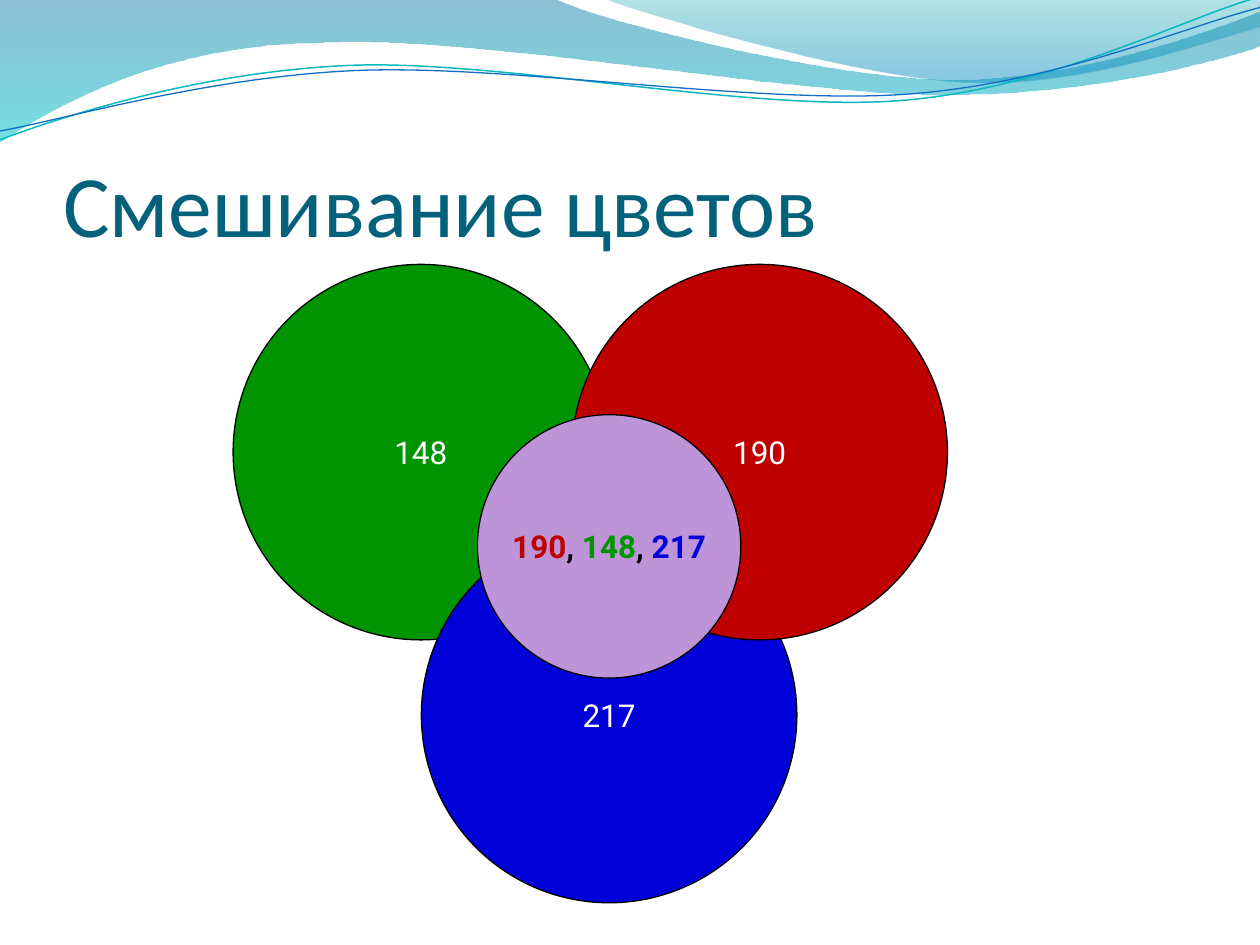
from math import cos, radians, sin

from lxml.etree import SubElement
from pptx import Presentation
from pptx.dml.color import RGBColor
from pptx.enum.shapes import MSO_SHAPE as SHAPE
from pptx.enum.text import MSO_ANCHOR as ANCHOR, PP_ALIGN as ALIGN
from pptx.oxml.ns import qn
from pptx.util import Cm, Pt

GREEN, BLUE, RED, MIX = "009400", "0000D9", "BE0000", "BE94D9"
BLACK, WHITE, TITLE = "000000", "FFFFFF", "04617B"
TILT = 357.3

LEFT_WAVE = [(0, -0.01), (4.4, -0.01),
             (4.76, 0.17), (6.64, 0.63), (7.58, 0.63),
             (8.53, 0.63), (9.58, 0.26), (10, 0.09), (10.01, 0.36),
             (9.83, 0.44), (8.7, 0.76), (7.46, 0.75),
             (6.22, 0.75), (3.82, 0.28), (2.57, 0.34),
             (1.29, 0.35), (0.46, 0.83), (-0.01, 1.13)]
RIGHT_WAVE = [(4.79, -0.01), (5.09, 0.11), (6.82, 0.62), (7.69, 0.65),
              (8.56, 0.69), (9.61, 0.32), (10, 0.21), (10, 0)]
TEAL_LINE = [(0, 1.11), (0.48, 0.93), (1.58, 0.57), (2.77, 0.52),
             (3.95, 0.47), (5.93, 0.89), (7.13, 0.8),
             (8.33, 0.71), (9.38, 0.15), (9.98, -0.02)]
BLUE_LINE = [(0, 1.04), (0.47, 0.96), (1.64, 0.61), (2.83, 0.56),
             (4.03, 0.51), (5.97, 0.83), (7.17, 0.75),
             (8.36, 0.67), (9.41, 0.21), (10, 0.06)]


def rgb(color):
    return RGBColor.from_string(color)


def untilt(points):
    cx, cy = 5, 0.58
    c, n = cos(radians(-TILT)), sin(radians(-TILT))
    return [(cx + (x - cx) * c - (y - cy) * n, cy + (x - cx) * n + (y - cy) * c)
            for x, y in points]


def add_outline(s, box, points, kinds, close):
    left, top, width = box
    unit = width / 10
    scaled = [(Cm(left + x * unit), Cm(top + y * unit)) for x, y in points]
    builder = s.shapes.build_freeform(*scaled[0])
    builder.add_line_segments(scaled[1:], close=close)
    sp = builder.convert_to_shape()
    sp.shadow.inherit = False
    segments = iter(list(sp._element.iter(qn("a:lnTo"))))
    for kind in kinds:
        segment = next(segments)
        if kind == "C":
            segment.tag = qn("a:cubicBezTo")
            for extra in (next(segments), next(segments)):
                segment.append(extra[0])
                extra.getparent().remove(extra)
    return sp


def add_band(s, box, points, kinds, stops):
    sp = add_outline(s, box, points, kinds, True)
    sp.line.fill.background()
    sp.fill.gradient()
    sp.fill.gradient_angle = 270
    for stop, (position, color, _) in zip(sp.fill.gradient_stops, stops):
        stop.position = position
        stop.color.rgb = rgb(color)
    for clr, (_, _, opacity) in zip(sp._element.spPr.iter(qn("a:srgbClr")), stops):
        SubElement(clr, qn("a:alpha")).set("val", str(opacity * 1000))


def add_waves(s, box):
    add_band(s, box, LEFT_WAVE, "LCCLCCC", [(0, "0074A1", 45), (1, "00C6CF", 55)])
    add_band(s, box, RIGHT_WAVE, "CCL", [(0, "00A1A9", 30), (0.8, "008BBF", 45)])
    for points, color, weight in ((TEAL_LINE, "0AB8BF", 0.85), (BLUE_LINE, "0F6FC6", 0.75)):
        sp = add_outline(s, box, untilt(points), "CCC", False)
        sp.rotation = TILT
        sp.fill.background()
        sp.line.color.rgb = rgb(color)
        sp.line.width = Pt(weight)


def add_title(s, box, text):
    sp = s.shapes.title
    sp.left, sp.top, sp.width, sp.height = map(Cm, box)
    s.shapes._spTree.append(sp._element)
    tf = sp.text_frame
    tf.text = text
    tf.vertical_anchor = ANCHOR.BOTTOM
    tf.margin_left = tf.margin_right = tf.margin_bottom = 0
    tf.margin_top = Cm(0.13)
    p = tf.paragraphs[0]
    p.alignment = ALIGN.LEFT
    p.font.name, p.font.size = "Calibri", Pt(50)
    p.font.color.rgb = rgb(TITLE)


def add_circle(s, left, top, size, fill, runs, bold=False):
    sp = s.shapes.add_shape(SHAPE.OVAL, Cm(left), Cm(top), Cm(size), Cm(size))
    sp.shadow.inherit = False
    sp.fill.solid()
    sp.fill.fore_color.rgb = rgb(fill)
    sp.line.color.rgb = rgb(BLACK)
    sp.line.width = Pt(0.75)
    tf = sp.text_frame
    tf.word_wrap = False
    tf.vertical_anchor = ANCHOR.MIDDLE
    p = tf.paragraphs[0]
    p.alignment = ALIGN.CENTER
    p.font.name, p.font.size, p.font.bold = "Roboto", Pt(18), bold
    for text, color in runs:
        r = p.add_run()
        r.text = text
        r.font.color.rgb = rgb(color)


def add_color_mix(s, box):
    left, top, width, height = box
    size, mix_size = 7.57, 5.31
    middle = left + width / 2 + 0.38
    add_circle(s, left, top, size, GREEN, [("148", WHITE)])
    add_circle(s, middle - size / 2, top + height - size, size, BLUE, [("217", WHITE)])
    add_circle(s, left + width - size, top, size, RED, [("190", WHITE)])
    add_circle(s, middle - mix_size / 2, top + 3.03, mix_size, MIX,
               [("190", RED), (", ", BLACK), ("148", GREEN), (", ", BLACK), ("217", BLUE)],
               bold=True)


def main():
    prs = Presentation()
    prs.slide_width, prs.slide_height = Cm(25.4), Cm(19.05)
    s = prs.slides.add_slide(prs.slide_layouts[5])
    add_waves(s, (0, 0, 25.4))
    add_title(s, (1.27, 1.96, 23.06, 3.18), "Смешивание цветов")
    add_color_mix(s, (4.7, 5.33, 14.4, 12.87))
    prs.save("out.pptx")


if __name__ == "__main__":
    main()
